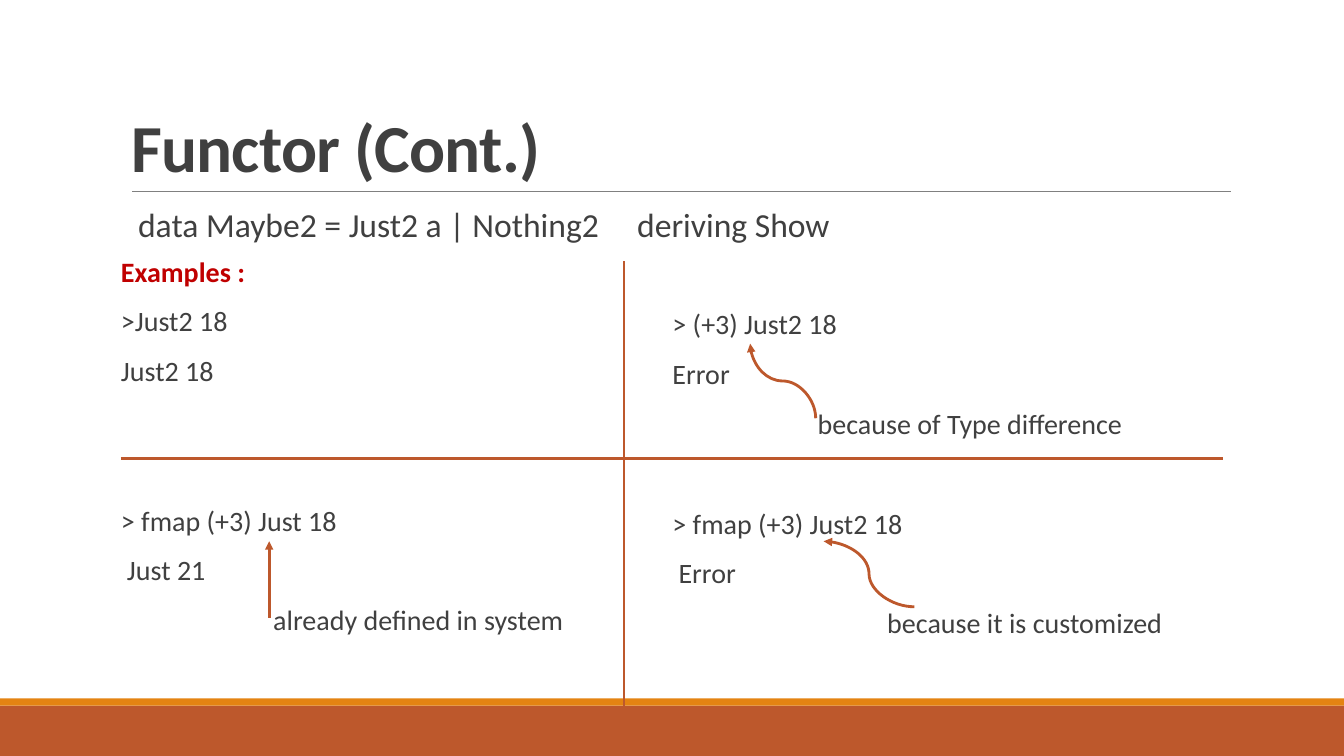
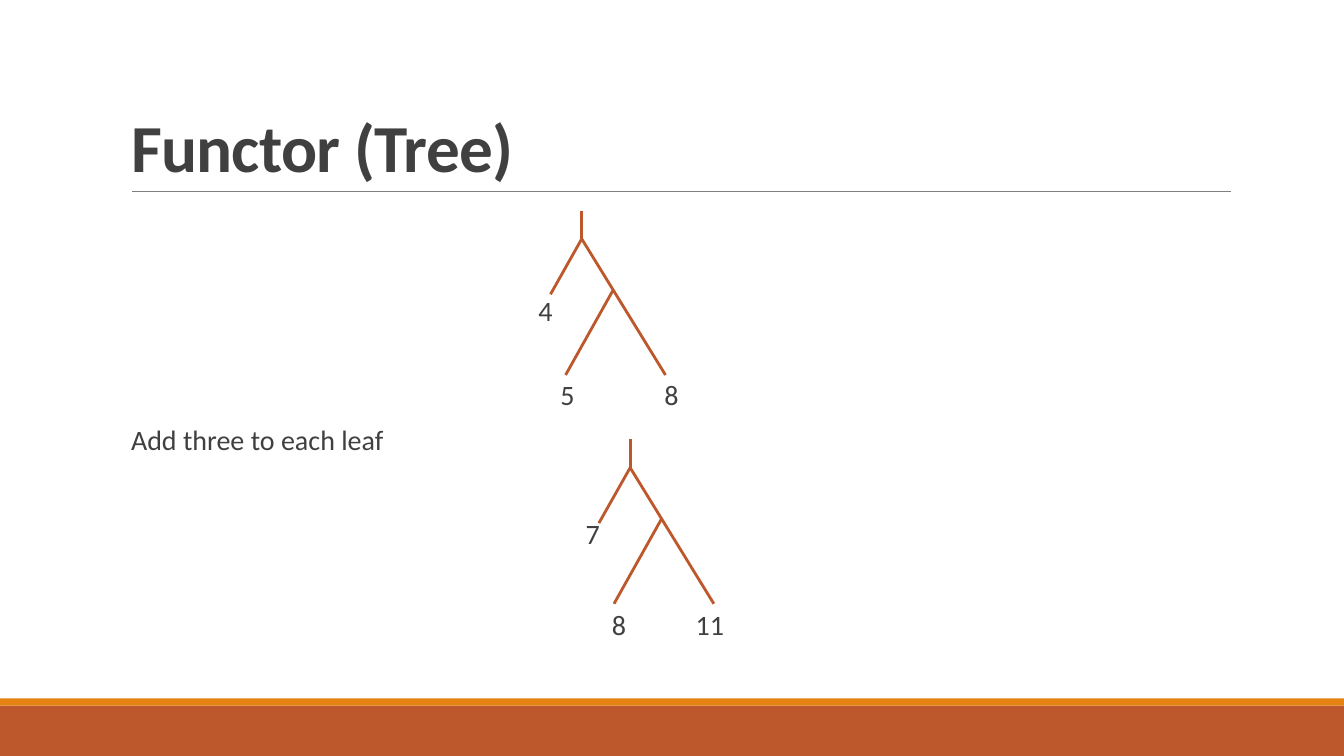
from pptx import Presentation
from pptx.dml.color import RGBColor
from pptx.enum import shapes, text
from pptx.oxml import ns, xmlchemy as xc
from pptx.util import Inches, Pt

FONT = "Calibri"
HEX = {"rust": "BD582C", "amber": "E48312", "gray": "808080",
       "ink": "404040", "red": "C00000"}
LINE = shapes.MSO_CONNECTOR.STRAIGHT
CURVE = shapes.MSO_CONNECTOR.CURVE
LEFT, MID = text.PP_ALIGN.LEFT, text.PP_ALIGN.CENTER

# Shared frame: bands (top, height, colour) and title rule
BANDS = [(7, 0.5, "rust"), (6.93, 0.07, "amber")]
RULE = ((1.31, 1.9), (12.21, 1.9))

# Functor slide: each quadrant is left, top, lines of (text, indent, style)
DATA = "data Maybe2 = Just2 a | Nothing2\tderiving Show"
RED = {"color": "red", "bold": True}
QUADS = [
    (1.2, 2.51, [("Examples :", 0, RED), (">Just2 18", 0, {}),
                 ("Just2 18", 0, {})]),
    (6.67, 3.03, [("> (+3) Just2 18", 0, {}), ("Error", 0, {}),
                  ("because of Type difference", 1.44, {})]),
    (1.2, 4.98, [("> fmap (+3) Just 18", 0, {}), ("Just 21", 0.06, {}),
                 ("already defined in system", 1.51, {})]),
    (6.67, 5.01, [("> fmap (+3) Just2 18", 0, {}), ("Error", 0.06, {}),
                  ("because it is customized", 2.13, {})]),
]
CROSS = [((1.2, 4.55), (12.13, 4.55)), ((6.19, 2.59), (6.19, 7.06))]
# Arrows: from, to, kind, whether the ends leave vertically
ARROWS = [((8.09, 4.15), (7.44, 3.41), CURVE, True),
          ((9.07, 6.02), (8.17, 5.37), CURVE, False),
          ((2.67, 6.13), (2.67, 5.37), LINE, False)]

# Tree slide: branches and leaf centres are offsets from the tree top
BRANCHES = [((0, 0), (0, 0.28)), ((0, 0.28), (-0.31, 0.83)),
            ((0, 0.28), (0.83, 1.63)), ((0.31, 0.79), (-0.16, 1.63))]
TREES = [
    ((5.77, 2.09), [("4", -0.36, 1.01), ("5", -0.14, 1.84), ("8", 0.89, 1.84)]),
    ((6.25, 4.36), [("7", -0.37, 0.95), ("8", -0.11, 1.86), ("11", 0.79, 1.86)]),
]
STEP = "Add three to each leaf"


def rgb(name):
    return RGBColor.from_string(HEX[name])


def sub(node, tag, **attrs):
    kid = xc.OxmlElement(tag)
    for key, val in attrs.items():
        kid.set(key, val)
    node.append(kid)
    return kid


def write(par, words, size=20, color="ink", bold=False):
    run = par.add_run()
    run.text = words
    font = run.font
    font.name, font.size, font.bold = FONT, Pt(size), bold
    font.color.rgb = rgb(color)
    return run


def box(slide, x, y, w, h, lines, align=LEFT, size=20):
    frame = slide.shapes.add_textbox(*map(Inches, (x, y, w, h))).text_frame
    frame.word_wrap = True
    frame.margin_left = frame.margin_right = 0
    for i, (words, indent, style) in enumerate(lines):
        par = frame.add_paragraph() if i else frame.paragraphs[0]
        par.alignment, par.line_spacing = align, 0.9
        par.space_before, par.space_after = Pt(12 if i else 0), Pt(2)
        if indent:
            par._p.get_or_add_pPr().set("marL", str(Inches(indent)))
        write(par, words, size, **style)
    return frame


def link(slide, start, end, kind=LINE, color="rust", width=2,
         arrow=False, turn=False):
    if turn:  # a quarter turn makes the curve leave vertically
        cx, cy = (start[0] + end[0]) / 2, (start[1] + end[1]) / 2
        start, end = [(cx - (y - cy), cy + (x - cx)) for x, y in (start, end)]
    wire = slide.shapes.add_connector(kind, *map(Inches, start + end))
    wire.line.color.rgb, wire.line.width = rgb(color), Pt(width)
    props = wire._element.spPr
    if arrow:
        sub(props.find(ns.qn("a:ln")), "a:tailEnd", type="triangle")
    if turn:
        props.find(ns.qn("a:xfrm")).set("rot", str(270 * 60000))
    sub(props, "a:effectLst")


def start(deck, words):
    """Add a slide with its title, bands and rule."""
    slide = deck.slides.add_slide(deck.slide_layouts[5])
    for top, high, color in BANDS:
        band = slide.shapes.add_shape(
            shapes.MSO_SHAPE.RECTANGLE, 0, Inches(top), deck.slide_width,
            Inches(high))
        band.shadow.inherit = False
        band.fill.solid()
        band.fill.fore_color.rgb = rgb(color)
        band.line.fill.background()
    link(slide, *RULE, color="gray", width=0.5)
    title = slide.shapes.title
    title.left, title.top, title.width, title.height = map(
        Inches, (1.2, 0.31, 11, 1.59))
    frame = title.text_frame
    frame.auto_size = text.MSO_AUTO_SIZE.NONE
    frame.vertical_anchor = text.MSO_ANCHOR.BOTTOM
    par = frame.paragraphs[0]
    par.alignment, par.line_spacing = LEFT, 0.85
    run = write(par, words, 48, bold=True)
    run._r.get_or_add_rPr().set("spc", "-50")
    return slide


def functor(deck):
    slide = start(deck, "Functor (Cont.)")
    frame = box(slide, 1.37, 2.02, 10.83, 0.49, [(DATA, 0, {})], size=24)
    tabs = sub(frame.paragraphs[0]._p.get_or_add_pPr(), "a:tabLst")
    sub(tabs, "a:tab", pos=str(Inches(4.95)), algn="l")
    for x, y, lines in QUADS:
        box(slide, x, y, 5.47, 1.5, lines)
    for a, b, kind, turn in ARROWS:
        link(slide, a, b, kind, arrow=True, turn=turn)
    for a, b in CROSS:
        link(slide, a, b)


def tree(deck):
    slide = start(deck, "Functor (Tree)")
    box(slide, 1.3, 4.18, 4, 0.4, [(STEP, 0, {})])
    for (x, y), leaves in TREES:
        for a, b in BRANCHES:
            link(slide, (x + a[0], y + a[1]), (x + b[0], y + b[1]))
        for words, dx, dy in leaves:
            box(slide, x + dx - 0.25, y + dy - 0.2, 0.5, 0.4,
                [(words, 0, {})], MID)


def main():
    deck = Presentation()
    deck.slide_width, deck.slide_height = Inches(13.33), Inches(7.5)
    functor(deck)
    tree(deck)
    deck.save("out.pptx")


if __name__ == "__main__":
    main()
